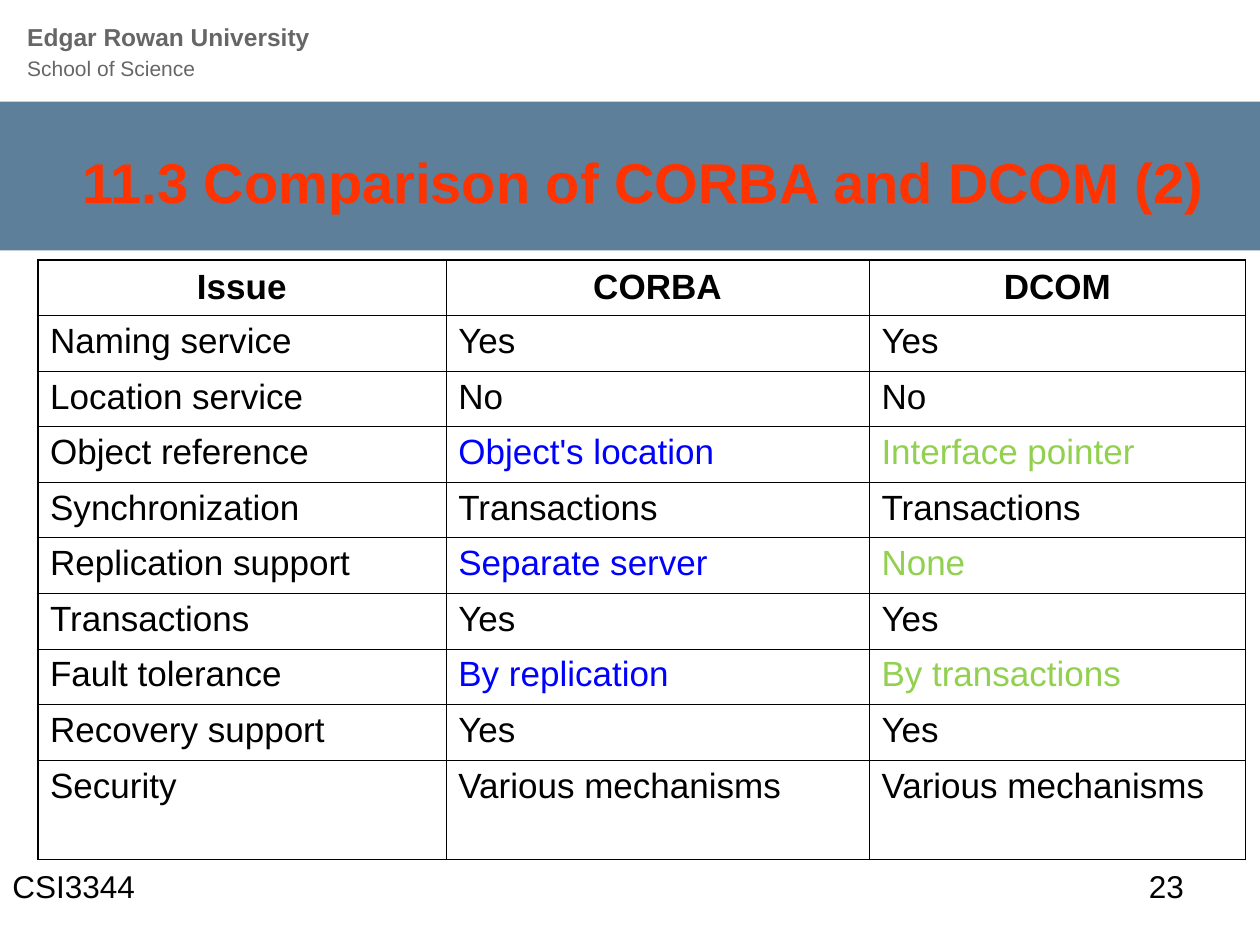
"""Build the slide comparing CORBA and DCOM."""
from lxml import etree
from pptx import Presentation
from pptx.dml.color import RGBColor
from pptx.enum.shapes import MSO_SHAPE
from pptx.enum.text import MSO_ANCHOR, PP_ALIGN
from pptx.oxml.ns import qn
from pptx.util import Cm, Pt

RECT = MSO_SHAPE.RECTANGLE
TOP, MIDDLE = MSO_ANCHOR.TOP, MSO_ANCHOR.MIDDLE
LEFT, CENTER, RIGHT = PP_ALIGN.LEFT, PP_ALIGN.CENTER, PP_ALIGN.RIGHT
BLACK, BLUE, GREEN = "000000", "0000FF", "92D050"
GREY, ORANGE, SLATE = "666666", "FF3300", "5D7F9A"
THIN, THICK = Pt(0.45), Pt(1.08)


def rgb(value):
    return RGBColor.from_string(value)


def add_run(p, text, size, color=BLACK, bold=False):
    r = p.add_run()
    r.text = text
    r.font.name = "Arial"
    r.font.size = Pt(size)
    r.font.bold = bold
    r.font.color.rgb = rgb(color)


prs = Presentation()
prs.slide_width, prs.slide_height = Cm(25.4), Cm(19.05)
s = prs.slides.add_slide(prs.slide_layouts[6])

band = s.shapes.add_shape(RECT, Cm(0), Cm(2.05), Cm(25.5), Cm(3))
band.shadow.inherit = False
band.fill.solid()
band.fill.fore_color.rgb = rgb(SLATE)
band.line.fill.background()

sp = s.shapes.add_textbox(Cm(0.3), Cm(0.33), Cm(14.96), Cm(1.45))
tf = sp.text_frame
tf.word_wrap = True
p = tf.paragraphs[0]
p.line_spacing = Pt(16.7)
p.space_before = Pt(7.5)
add_run(p, "Edgar Rowan University", 14, GREY, True)
p.add_line_break()
add_run(p, "School of Science", 12, GREY)

labels = [
    ("11.3 Comparison of CORBA and DCOM (2)", 1.3, 2.77, 23.24, 1.78, 32, ORANGE, True, RIGHT, MIDDLE),
    ("CSI3344", 0, 17.35, 5.92, 1.27, 18, BLACK, False, LEFT, TOP),
    ("23", 22.91, 17.35, 2.49, 1.27, 18, BLACK, False, LEFT, TOP),
]
for text, x, y, w, h, size, color, bold, align, anchor in labels:
    sp = s.shapes.add_textbox(Cm(x), Cm(y), Cm(w), Cm(h))
    tf = sp.text_frame
    tf.word_wrap = True
    tf.vertical_anchor = anchor
    p = tf.paragraphs[0]
    p.alignment = align
    add_run(p, text, size, color, bold)

rows = [
    ("Issue", "CORBA", "DCOM"),
    ("Naming service", "Yes", "Yes"),
    ("Location service", "No", "No"),
    ("Object reference", "Object's location", "Interface pointer"),
    ("Synchronization", "Transactions", "Transactions"),
    ("Replication support", "Separate server", "None"),
    ("Transactions", "Yes", "Yes"),
    ("Fault tolerance", "By replication", "By transactions"),
    ("Recovery support", "Yes", "Yes"),
    ("Security", "Various mechanisms", "Various mechanisms"),
]
widths = [8.23, 8.53, 7.59]
heights = [1.12] * 9 + [2.01]
last_row, last_col = len(rows) - 1, len(widths) - 1

table = s.shapes.add_table(len(rows), len(widths), Cm(0.76), Cm(5.24),
                           Cm(sum(widths)), Cm(sum(heights))).table
table.first_row = False
table.horz_banding = False
for col, w in zip(table.columns, widths):
    col.width = Cm(w)

for i, (row, h) in enumerate(zip(rows, heights)):
    table.rows[i].height = Cm(h)
    header = i == 0
    differs = not header and row[1] != row[2]
    colors = (BLACK, BLUE, GREEN) if differs else (BLACK,) * 3
    for j, (text, color) in enumerate(zip(row, colors)):
        cell = table.cell(i, j)
        cell.fill.background()
        cell.vertical_anchor = MIDDLE if header else TOP
        cell.margin_left = cell.margin_right = Cm(0.25)
        cell.margin_top = cell.margin_bottom = Cm(0.13)
        p = cell.text_frame.paragraphs[0]
        p.alignment = CENTER if header else LEFT
        p.space_before = Pt(5)
        add_run(p, text, 20, color, header)
        outer = {"a:lnL": j == 0, "a:lnR": j == last_col,
                 "a:lnT": header, "a:lnB": i == last_row}
        tcPr = cell._tc.get_or_add_tcPr()
        for k, (tag, edge) in enumerate(outer.items()):
            ln = etree.Element(qn(tag), w=str(THICK if edge else THIN))
            fill = etree.SubElement(ln, qn("a:solidFill"))
            etree.SubElement(fill, qn("a:srgbClr"), val=BLACK)
            tcPr.insert(k, ln)

prs.save("out.pptx")
